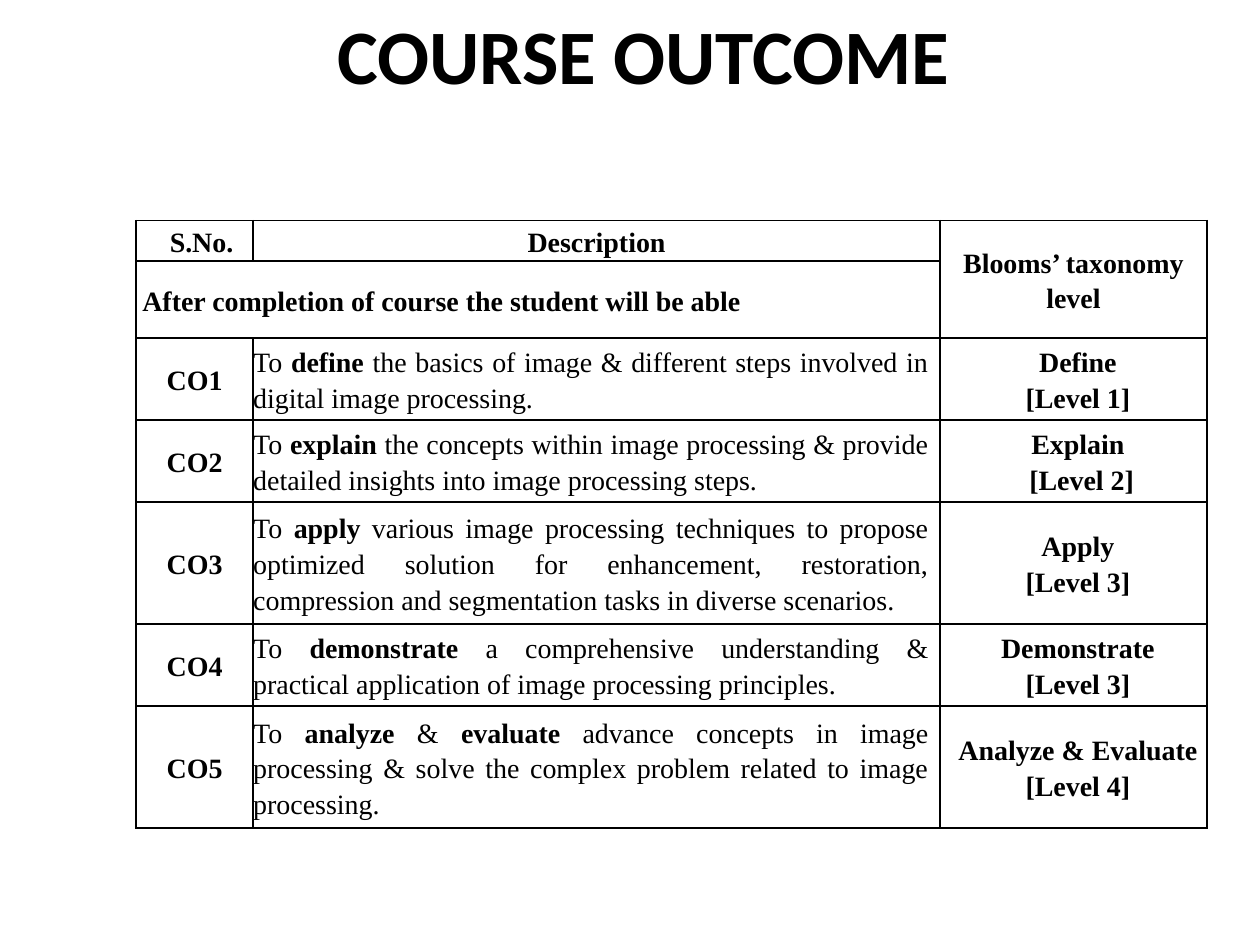
from dataclasses import dataclass

from lxml.etree import SubElement
from pptx import Presentation
from pptx.dml.color import RGBColor
from pptx.enum.text import MSO_ANCHOR as Anchor, MSO_AUTO_SIZE as AutoSize, PP_ALIGN as Align
from pptx.oxml.ns import qn
from pptx.slide import Slide
from pptx.table import Table, _Cell as Cell
from pptx.util import Inches, Pt

BLACK = RGBColor(0, 0, 0)
SLIDE_WIDTH, SLIDE_HEIGHT = Inches(10), Inches(7.5)
GRID = SLIDE_WIDTH // 100
COLUMNS = (9.3, 54.5, 21.2)
ROWS = (3.2, 3.7, 6.5, 6.5, 9.7, 6.5, 9.7)
BOLD_MARK = "*"


@dataclass(frozen=True)
class Outcome:
    code: str
    description: str
    skill: str
    level: str
    level_indent: float = 0.7


OUTCOMES = (
    Outcome("CO1", "To *define* the basics of image & different steps involved in "
            "digital image processing.", "Define", "[Level 1]"),
    Outcome("CO2", "To *explain* the concepts within image processing & provide "
            "detailed insights into image processing steps.", "Explain", "[Level 2]", 1.3),
    Outcome("CO3", "To *apply* various image processing techniques to propose "
            "optimized solution for enhancement, restoration, compression and "
            "segmentation tasks in diverse scenarios.", "Apply", "[Level 3]"),
    Outcome("CO4", "To *demonstrate* a comprehensive understanding & practical "
            "application of image processing principles.", "Demonstrate", "[Level 3]"),
    Outcome("CO5", "To *analyze* & *evaluate* advance concepts in image processing "
            "& solve the complex problem related to image processing.",
            "Analyze & Evaluate", "[Level 4]"),
)


def units(count: float) -> int:
    return round(count * GRID)


def add_borders(cell: Cell) -> None:
    properties = cell._tc.get_or_add_tcPr()
    for position, side in enumerate(("lnL", "lnR", "lnT", "lnB")):
        line = SubElement(properties, qn(f"a:{side}"), w=str(Pt(1)))
        fill = SubElement(line, qn("a:solidFill"))
        SubElement(fill, qn("a:srgbClr"), val=str(BLACK))
        properties.insert(position, line)


def format_cell(cell: Cell) -> None:
    cell.margin_left = cell.margin_right = cell.margin_top = cell.margin_bottom = 0
    cell.vertical_anchor = Anchor.MIDDLE
    cell.fill.background()
    add_borders(cell)


def write_cell(cell: Cell, lines: list[str], align: Align = Align.CENTER,
               indents: tuple[float, ...] = (0,), bold: bool = True) -> None:
    frame = cell.text_frame
    for index, line in enumerate(lines):
        para = frame.paragraphs[0] if index == 0 else frame.add_paragraph()
        para._p.get_or_add_pPr().set("marL", str(units(indents[min(index, len(indents) - 1)])))
        para.alignment = align
        para.line_spacing = 1.15
        para.font.name = "Times New Roman"
        para.font.size = Pt(16)
        para.font.color.rgb = BLACK
        para.font.bold = bold
        for order, part in enumerate(line.split(BOLD_MARK)):
            span = para.add_run()
            span.text = part
            if order % 2:
                span.font.bold = True


def add_title(page: Slide) -> None:
    title = page.shapes.title
    title.left, title.top = units(7.2), units(0.6)
    title.width, title.height = units(87.8), units(7.4)
    frame = title.text_frame
    frame.margin_left = frame.margin_right = frame.margin_top = frame.margin_bottom = 0
    frame.auto_size = AutoSize.SHAPE_TO_FIT_TEXT
    para = frame.paragraphs[0]
    para.text = "COURSE OUTCOME"
    para.alignment = Align.CENTER
    para.font.name = "Calibri"
    para.font.size = Pt(44)
    para.font.bold = True
    para.font.color.rgb = BLACK


def add_grid(page: Slide) -> Table:
    table = page.shapes.add_table(len(ROWS), len(COLUMNS), units(10.8), units(17.5),
                                  units(sum(COLUMNS)), units(sum(ROWS))).table
    table.first_row = table.horz_banding = False
    for column, width in zip(table.columns, COLUMNS):
        column.width = units(width)
    for row, height in zip(table.rows, ROWS):
        row.height = units(height)
    for cell in table.iter_cells():
        format_cell(cell)
    return table


def fill_header(table: Table) -> None:
    table.cell(0, 2).merge(table.cell(1, 2))
    table.cell(1, 0).merge(table.cell(1, 1))
    write_cell(table.cell(0, 0), ["S.No."], indents=(1.1,))
    write_cell(table.cell(0, 1), ["Description"])
    write_cell(table.cell(0, 2), ["Blooms’ taxonomy level"])
    write_cell(table.cell(1, 0), ["After completion of course the student will be able"],
               Align.LEFT, (0.5,))


def fill_outcome(table: Table, row: int, outcome: Outcome) -> None:
    code, description, level = (table.cell(row, column) for column in range(3))
    write_cell(code, [outcome.code])
    description.margin_right = units(0.9)
    write_cell(description, [outcome.description], Align.JUSTIFY, bold=False)
    write_cell(level, [outcome.skill, outcome.level], indents=(0.7, outcome.level_indent))


def main() -> None:
    deck = Presentation()
    deck.slide_width, deck.slide_height = SLIDE_WIDTH, SLIDE_HEIGHT
    page = deck.slides.add_slide(deck.slide_layouts.get_by_name("Title Only"))
    add_title(page)
    table = add_grid(page)
    fill_header(table)
    for row, outcome in enumerate(OUTCOMES, start=2):
        fill_outcome(table, row, outcome)
    deck.save("out.pptx")


if __name__ == "__main__":
    main()
